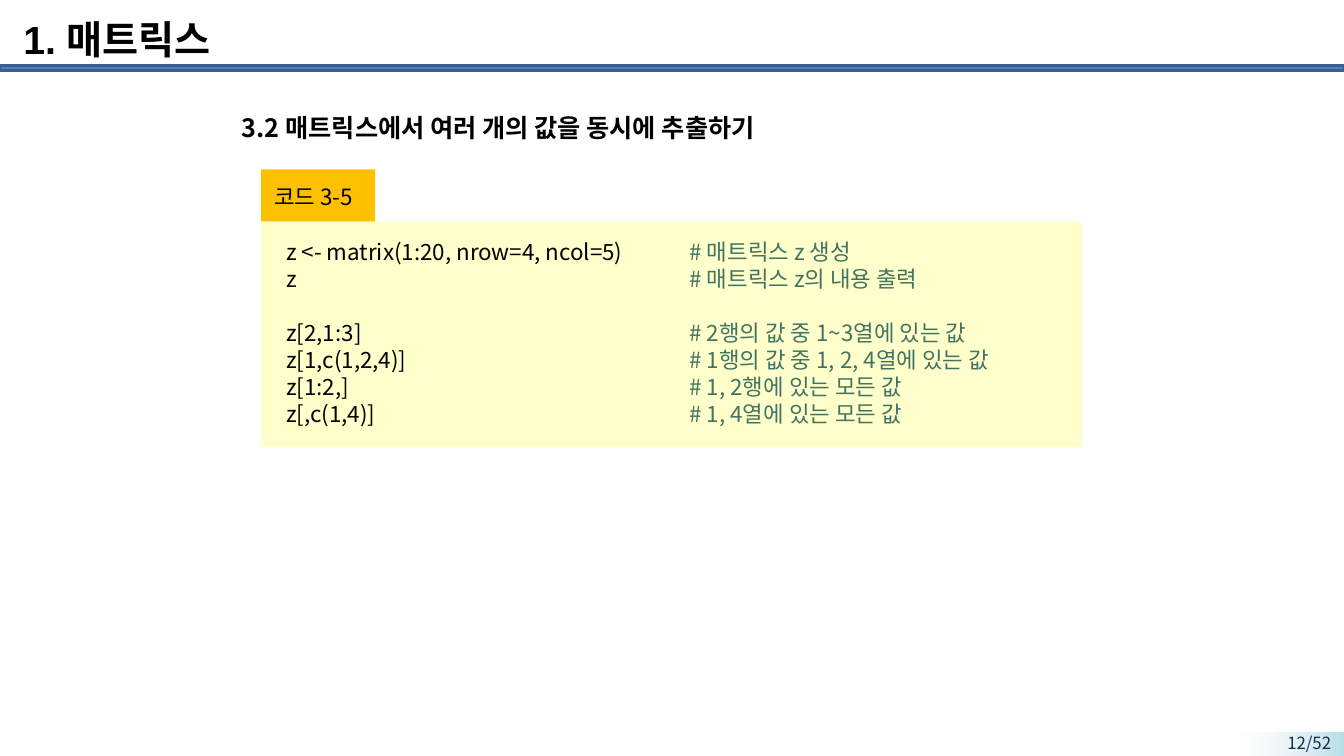
from typing import NamedTuple

from lxml.etree import SubElement
from pptx import Presentation
from pptx.dml.color import RGBColor
from pptx.enum.dml import MSO_THEME_COLOR
from pptx.enum.shapes import MSO_SHAPE
from pptx.enum.text import MSO_ANCHOR, PP_ALIGN
from pptx.oxml.ns import qn
from pptx.util import Inches, Pt

BLACK = RGBColor(0x00, 0x00, 0x00)
NAVY = RGBColor(0x0F, 0x2E, 0x53)
BLUE = RGBColor(0x4F, 0x81, 0xBD)
DARK_BLUE = RGBColor(0x3A, 0x5F, 0x8C)
PALE_BLUE = RGBColor(0xB7, 0xDE, 0xE8)
LIGHT_GREY = RGBColor(0xF2, 0xF2, 0xF2)
AMBER = RGBColor(0xFF, 0xC0, 0x00)
CREAM = RGBColor(0xFF, 0xFF, 0xCC)
GREEN = RGBColor(0x43, 0x73, 0x61)

KOREAN = "Noto Sans CJK KR"
WIDTH, HEIGHT = Inches(13.33), Inches(7.5)
CODE_PITCH = Pt(19.3)
COMMENT_TAB = Inches(4)


class Box(NamedTuple):
    """Left, top, width and height in percent of the slide."""
    x: float
    y: float
    w: float
    h: float

    def emu(self):
        return [round(share * side / 100)
                for share, side in zip(self, (WIDTH, HEIGHT, WIDTH, HEIGHT))]


class CodeLine(NamedTuple):
    code: str
    comment: str
    starts_group: bool = False


TITLE = Box(0.98, 1.33, 86.27, 9.87)
BAR = Box(0, 8.67, 100, 0.67)
FADE = Box(91.97, 96.93, 8.03, 3.2)
PAGE = Box(90.55, 96.67, 9.23, 3.07)
HEADING = Box(17.25, 14.27, 60, 6.13)
TAG = Box(19.43, 22.4, 8.48, 6.93)
PANEL = Box(19.43, 29.33, 61.07, 29.87)
TAG_TEXT = Box(19.65, 23.6, 8.03, 4.93)
CODE = Box(20.56, 30.8, 58.21, 26.53)

CODE_LINES = [
    CodeLine("z <- matrix(1:20, nrow=4, ncol=5)", "# 매트릭스 z 생성"),
    CodeLine("z", "# 매트릭스 z의 내용 출력"),
    CodeLine("z[2,1:3]", "# 2행의 값 중 1~3열에 있는 값", starts_group=True),
    CodeLine("z[1,c(1,2,4)]", "# 1행의 값 중 1, 2, 4열에 있는 값"),
    CodeLine("z[1:2,]", "# 1, 2행에 있는 모든 값"),
    CodeLine("z[,c(1,4)]", "# 1, 4열에 있는 모든 값"),
]


def add_run(p, text: str, *, size: float = 16, font: str = KOREAN,
            color: RGBColor = BLACK, bold: bool = False) -> None:
    r = p.add_run()
    r.text = text
    r.font.size, r.font.name, r.font.bold = Pt(size), font, bold
    r.font.color.rgb = color
    SubElement(r.font._element, qn("a:ea")).set("typeface", KOREAN)


def add_text_box(slide, box: Box, *, wrap: bool = True):
    tf = slide.shapes.add_textbox(*box.emu()).text_frame
    tf.word_wrap = wrap
    return tf


def add_rect(slide, box: Box, fill: RGBColor):
    sp = slide.shapes.add_shape(MSO_SHAPE.RECTANGLE, *box.emu())
    sp.shadow.inherit = False
    sp.fill.solid()
    sp.fill.fore_color.rgb = fill
    sp.line.fill.background()
    return sp


def add_fade(slide) -> None:
    """Draw the page-number backing, which fades out to the left."""
    sp = add_rect(slide, FADE, PALE_BLUE)
    sp.fill.gradient()
    sp.fill.gradient_angle = 180
    for stop, color in zip(sp.fill.gradient_stops, (PALE_BLUE, LIGHT_GREY)):
        stop.color.theme_color = MSO_THEME_COLOR.ACCENT_1
        stop.color.rgb = color
    clear = list(sp._element.iter(qn("a:gs")))[-1][0]
    SubElement(clear, qn("a:alpha")).set("val", "0")


def add_code(slide) -> None:
    tf = add_text_box(slide, CODE)
    for i, line in enumerate(CODE_LINES):
        p = tf.add_paragraph() if i else tf.paragraphs[0]
        p.line_spacing = CODE_PITCH
        if line.starts_group:
            p.space_before = CODE_PITCH
        tabs = SubElement(p._p.get_or_add_pPr(), qn("a:tabLst"))
        SubElement(tabs, qn("a:tab"), pos=str(COMMENT_TAB), algn="l")
        add_run(p, line.code + "\t")
        add_run(p, line.comment, color=GREEN)


def add_title(slide) -> None:
    sp = slide.shapes.title
    sp.left, sp.top, sp.width, sp.height = TITLE.emu()
    tf = sp.text_frame
    tf.vertical_anchor = MSO_ANCHOR.TOP
    p = tf.paragraphs[0]
    p.alignment = PP_ALIGN.LEFT
    add_run(p, "1. 매트릭스", size=28, font="Arial", bold=True)


def add_page_number(slide) -> None:
    add_fade(slide)
    tf = add_text_box(slide, PAGE)
    tf.margin_top = tf.margin_bottom = 0
    tf.vertical_anchor = MSO_ANCHOR.MIDDLE
    p = tf.paragraphs[0]
    p.alignment = PP_ALIGN.RIGHT
    add_run(p, "12/52", size=12, color=NAVY)


def main() -> None:
    prs = Presentation()
    prs.slide_width, prs.slide_height = WIDTH, HEIGHT
    slide = prs.slides.add_slide(prs.slide_layouts[5])

    bar = add_rect(slide, BAR, BLUE)
    bar.line.color.rgb = DARK_BLUE
    bar.line.width = Pt(2)
    add_title(slide)
    add_page_number(slide)

    heading = add_text_box(slide, HEADING)
    add_run(heading.paragraphs[0], "3.2 매트릭스에서 여러 개의 값을 동시에 추출하기",
            size=18, bold=True)
    add_rect(slide, TAG, AMBER)
    add_rect(slide, PANEL, CREAM)
    tag = add_text_box(slide, TAG_TEXT, wrap=False)
    add_run(tag.paragraphs[0], "코드 3-5")
    add_code(slide)

    prs.save("out.pptx")


if __name__ == "__main__":
    main()
